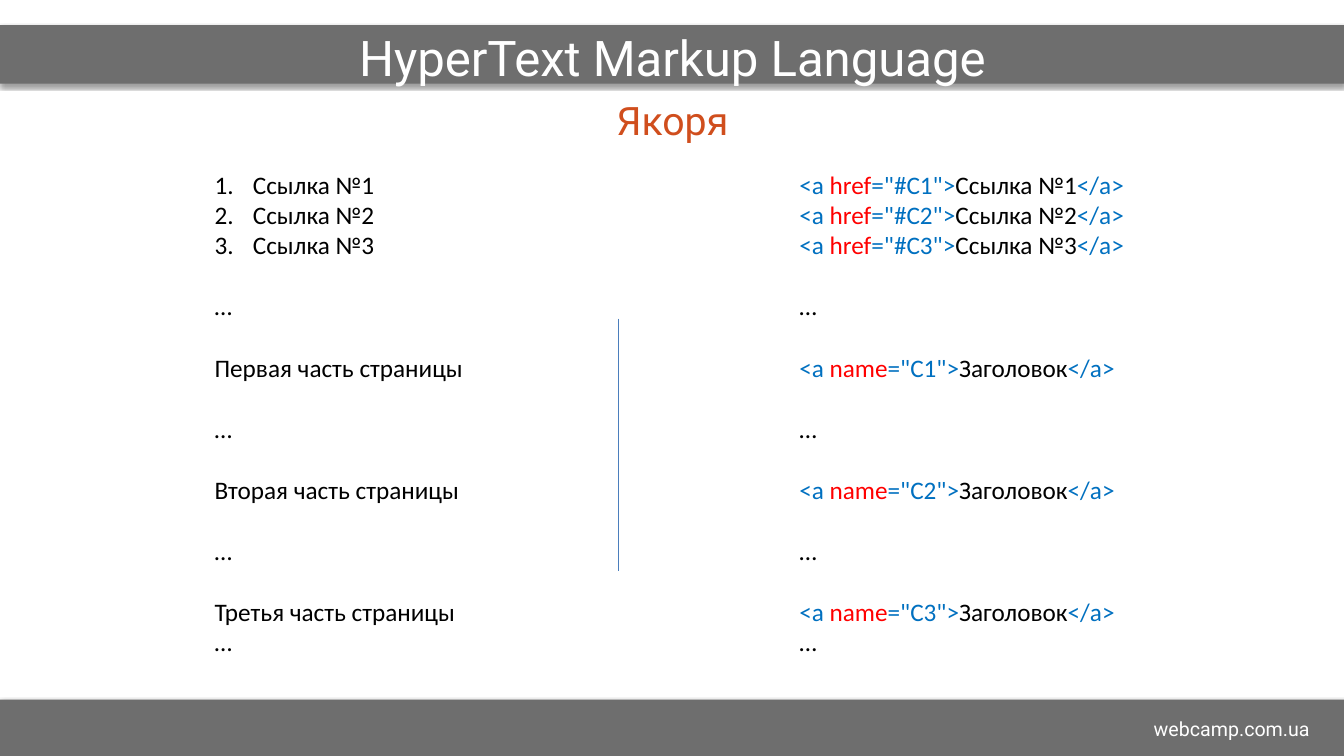
from typing import NamedTuple

from lxml import etree
from pptx import Presentation
from pptx.dml.color import RGBColor
from pptx.enum.shapes import MSO_CONNECTOR, MSO_SHAPE
from pptx.enum.text import MSO_ANCHOR, MSO_AUTO_SIZE, PP_ALIGN
from pptx.oxml.ns import qn
from pptx.util import Inches, Pt

RECT = MSO_SHAPE.RECTANGLE
STRAIGHT = MSO_CONNECTOR.STRAIGHT
MIDDLE, TOP = MSO_ANCHOR.MIDDLE, MSO_ANCHOR.TOP
LEFT, CENTER, RIGHT = PP_ALIGN.LEFT, PP_ALIGN.CENTER, PP_ALIGN.RIGHT
NO_FIT = MSO_AUTO_SIZE.NONE

COLORS = {
    "bar": "6E6E6E",
    "accent": "D04E1D",
    "white": "FFFFFF",
    "black": "000000",
    "tag": "0070C0",
    "attr": "FF0000",
    "rule": "4B7EBC",
}
HEAD_FONT, BODY_FONT = "Roboto", "Calibri"
BODY_SIZE = 18
GAP = Pt(22)
INDENT = Inches(0.38)


class Box(NamedTuple):
    left: float
    top: float
    width: float
    height: float


class Piece(NamedTuple):
    text: str
    color: str = "black"


class Line(NamedTuple):
    pieces: list[Piece]
    gap: bool = False
    number: bool = False


BARS = [Box(0, 6.94, 13.33, 0.58), Box(0, 0.25, 13.33, 0.58)]
TITLE = Box(2.17, 0.25, 9, 0.62)
TOPIC = Box(2.17, 0.88, 9, 0.62)
SITE = Box(4.42, 7.06, 8.67, 0.34)
PAGE = Box(2.03, 1.63, 2.74, 4.95)
CODE = Box(7.83, 1.63, 3.47, 4.95)


def span(box: Box) -> list[int]:
    return [Inches(side) for side in box]


def rgb(name: str) -> RGBColor:
    return RGBColor.from_string(COLORS[name])


def style(font, face: str, size: float, color: str) -> None:
    font.name, font.size = face, Pt(size)
    font.color.rgb = rgb(color)


def add_bar(shapes, box: Box):
    bar = shapes.add_shape(RECT, *span(box))
    bar.fill.solid()
    bar.fill.fore_color.rgb = rgb("bar")
    bar.line.fill.background()
    effects = etree.SubElement(bar.element.spPr, qn("a:effectLst"))
    shade = etree.SubElement(effects, qn("a:outerShdw"), blurRad=str(Pt(3.1)),
                             dist=str(Pt(1.6)), dir="5400000", rotWithShape="0")
    color = etree.SubElement(shade, qn("a:srgbClr"), val=COLORS["black"])
    etree.SubElement(color, qn("a:alpha"), val="38000")
    return bar


def set_label(shape, text: str, size: float, color: str, align, anchor) -> None:
    frame = shape.text_frame
    frame.text = text
    frame.word_wrap = True
    frame.auto_size = NO_FIT
    frame.vertical_anchor = anchor
    para = frame.paragraphs[0]
    para.alignment = align
    style(para.runs[0].font, HEAD_FONT, size, color)


def set_number(para) -> None:
    props = para._p.get_or_add_pPr()
    props.set("marL", str(INDENT))
    props.set("indent", str(-INDENT))
    etree.SubElement(props, qn("a:buFont"), typeface="+mj-lt")
    etree.SubElement(props, qn("a:buAutoNum"), type="arabicPeriod")


def add_column(shapes, box: Box, lines: list[Line]) -> None:
    frame = shapes.add_textbox(*span(box)).text_frame
    frame.word_wrap = True
    for i, line in enumerate(lines):
        para = frame.add_paragraph() if i else frame.paragraphs[0]
        para.alignment = LEFT
        if line.gap:
            para.space_before = GAP
        if line.number:
            set_number(para)
        for piece in line.pieces:
            run = para.add_run()
            run.text = piece.text
            style(run.font, BODY_FONT, BODY_SIZE, piece.color)


def add_rule(shapes) -> None:
    x = Inches(6.13)
    rule = shapes.add_connector(STRAIGHT, x, Inches(3.16), x, Inches(5.66))
    rule.line.color.rgb = rgb("rule")
    rule.line.width = Pt(0.75)
    etree.SubElement(rule.element.spPr, qn("a:effectLst"))


def anchor_tag(attr: str, value: str, text: str) -> list[Piece]:
    return [Piece("<a ", "tag"), Piece(attr, "attr"),
            Piece(f'="{value}">', "tag"), Piece(text), Piece("</a>", "tag")]


def add_parts(links: list[Line], parts: list[list[Piece]]) -> list[Line]:
    """Follow the links with the page parts, dots between and after them."""
    dots = [Piece("…")]
    lines = list(links)
    for part in parts:
        lines += [Line(dots, gap=True), Line(part, gap=True)]
    return lines + [Line(dots)]


def main() -> None:
    deck = Presentation()
    deck.slide_width, deck.slide_height = Inches(13.33), Inches(7.5)
    slide = deck.slides.add_slide(deck.slide_layouts[5])
    shapes = slide.shapes

    topic = shapes.add_textbox(*span(TOPIC))
    set_label(topic, "Якоря", 28, "accent", CENTER, MIDDLE)
    for box in BARS:
        bar = add_bar(shapes, box)

    title = shapes.title
    title.left, title.top, title.width, title.height = span(TITLE)
    set_label(title, "HyperText Markup Language", 35.1, "white", CENTER, MIDDLE)
    bar.element.addnext(title.element)

    nums = range(1, 4)
    names = [f"Ссылка №{n}" for n in nums]
    page = add_parts(
        [Line([Piece(name)], number=True) for name in names],
        [[Piece(f"{nth} часть страницы")] for nth in ("Первая", "Вторая", "Третья")])
    code = add_parts(
        [Line(anchor_tag("href", f"#C{n}", name)) for n, name in zip(nums, names)],
        [anchor_tag("name", f"C{n}", "Заголовок") for n in nums])

    group = shapes.add_group_shape().shapes
    add_column(group, PAGE, page)
    add_rule(group)
    add_column(group, CODE, code)

    site = shapes.add_textbox(*span(SITE))
    set_label(site, "webcamp.com.ua", 14, "white", RIGHT, TOP)
    deck.save("out.pptx")


if __name__ == "__main__":
    main()
